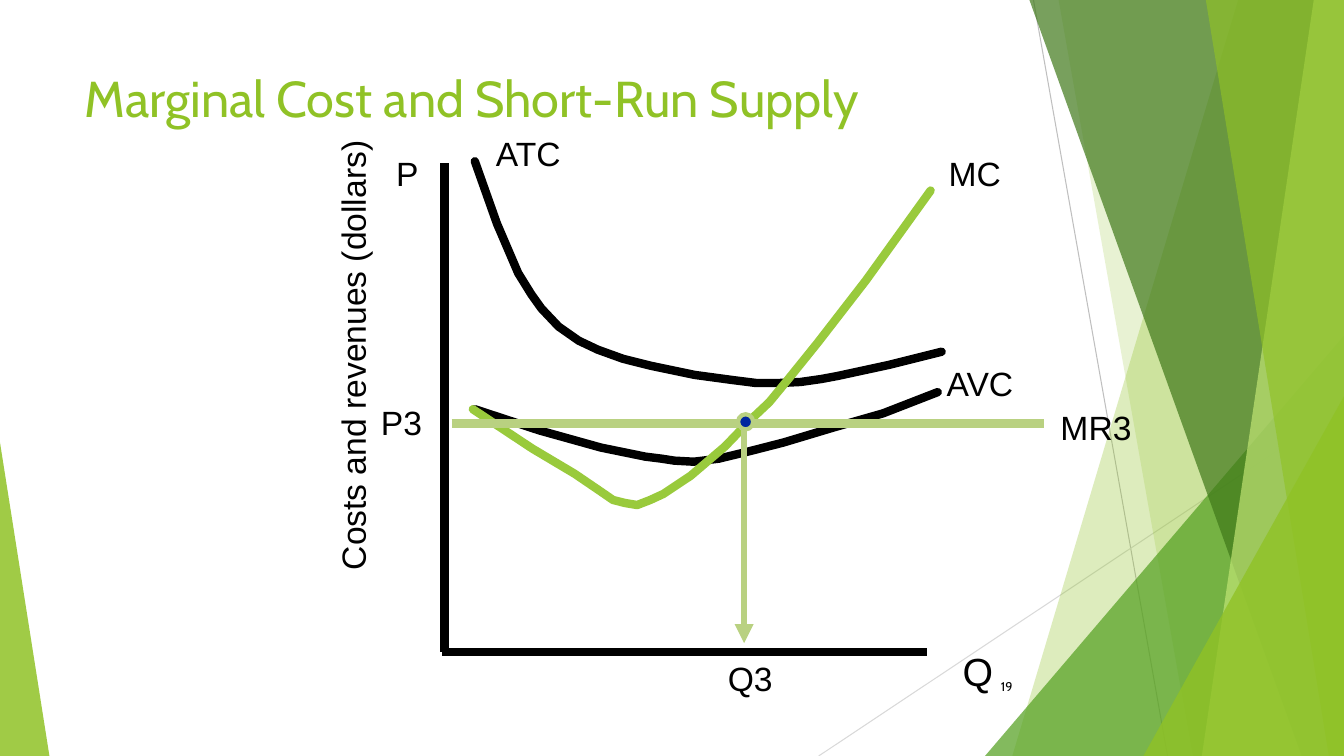
from lxml import etree
from pptx import Presentation
from pptx import util as u
from pptx.dml.color import RGBColor
from pptx.enum import shapes, text
from pptx.oxml.ns import qn

LIME, PALE, BLACK = "90C226", "B9D181", "000000"
WIDE, HIGH = 13.33, 7.5

PANES = [
    ([(12.28, 0), (WIDE, 0), (WIDE, HIGH), (10.04, HIGH)], LIME, 30),
    ([(10.5, 0), (WIDE, 0), (WIDE, HIGH), (11.83, HIGH)], LIME, 20),
    ((9.77, 3.33, 3.56, 4.17, 1), "54A021", 72),
    ([(10.21, 0), (WIDE, 0), (WIDE, HIGH), (12.91, HIGH)], "3F7819", 70),
    ([(13.03, 0), (WIDE, 0), (WIDE, HIGH), (11.92, HIGH)], "C0E474", 70),
    ([(11.96, 0), (WIDE, 0), (WIDE, HIGH), (13.18, HIGH)], LIME, 65),
    ((11.34, 3.93, 1.99, 3.57, 1), LIME, 80),
    ((0, 4.39, 0.49, 3.11, 0), LIME, 85),
]
AVC = [(4.71, 4.06), (5.35, 4.27), (5.96, 4.44), (6.4, 4.53), (6.56, 4.55),
       (6.69, 4.57), (6.88, 4.58), (6.97, 4.57), (7.13, 4.55), (7.42, 4.48),
       (7.77, 4.39), (8.27, 4.24), (8.76, 4.1), (9.3, 3.89)]
ATC = [(4.71, 1.6), (4.93, 2.22), (5.14, 2.71), (5.27, 2.92), (5.37, 3.06),
       (5.54, 3.24), (5.74, 3.38), (5.93, 3.47), (6.18, 3.56), (6.46, 3.63),
       (6.89, 3.72), (7.26, 3.77), (7.5, 3.8), (7.73, 3.8), (7.94, 3.79),
       (8.15, 3.76), (8.31, 3.73), (8.82, 3.62), (9.34, 3.49)]
MC = [(4.69, 4.06), (5.28, 4.45), (5.7, 4.7), (5.95, 4.87), (6.08, 4.96),
      (6.2, 4.99), (6.32, 5.01), (6.45, 4.96), (6.58, 4.9), (6.85, 4.72),
      (7.19, 4.43), (7.45, 4.16), (7.63, 3.99), (7.82, 3.76), (8.11, 3.4),
      (8.59, 2.78), (9.23, 1.89)]


def cm(inch):
    """Turn inches into a length in centimetres."""
    return u.Cm(inch * 2.54)


def rgb(code):
    """Read a hex colour."""
    return RGBColor.from_string(code)


def paint(shape, color, alpha=100):
    """Fill a shape without a shadow, partly clear if asked."""
    shape.shadow.inherit = False
    shape.fill.solid()
    shape.fill.fore_color.rgb = rgb(color)
    if alpha < 100:
        tone = shape._element.spPr.find(".//" + qn("a:srgbClr"))
        etree.SubElement(tone, qn("a:alpha"), val=str(alpha * 1000))


def stroke(shape, color, width):
    """Set the colour and width of a line."""
    shape.line.color.rgb = rgb(color)
    shape.line.width = u.Pt(width)


def trace(slide, points, close):
    """Build a freeform through the points."""
    spots = [(cm(x), cm(y)) for x, y in points]
    pen = slide.shapes.build_freeform(*spots[0])
    pen.add_line_segments(spots[1:], close=close)
    return pen.convert_to_shape()


def pane(slide, form, color, alpha):
    """Draw one clear pane: a point list or a triangle."""
    if isinstance(form, list):
        shape = trace(slide, form, True)
    else:
        *box, tip = form
        shape = slide.shapes.add_shape(
            shapes.MSO_SHAPE.ISOSCELES_TRIANGLE, *map(cm, box))
        shape.adjustments[0] = tip
    paint(shape, color, alpha)
    shape.line.fill.background()


def curve(slide, points, color):
    """Draw an open curve with round ends."""
    shape = trace(slide, points, False)
    shape.shadow.inherit = False
    shape.fill.background()
    stroke(shape, color, 6)
    edge = shape._element.spPr.find(qn("a:ln"))
    edge.set("cap", "rnd")
    etree.SubElement(edge, qn("a:round"))


def line(slide, ends, color, width, arrow=False):
    """Draw a straight line, with an arrowhead if asked."""
    rule = slide.shapes.add_connector(
        shapes.MSO_CONNECTOR.STRAIGHT, *map(cm, ends))
    stroke(rule, color, width)
    props = rule._element.spPr
    if arrow:
        etree.SubElement(props.find(qn("a:ln")), qn("a:tailEnd"), type="triangle")
    etree.SubElement(props, qn("a:effectLst"))


def label(slide, words, box, size=24, color=BLACK, font="Arial", wrap=True,
          mid=False, right=False, turn=0):
    """Add a text box with one run."""
    note = slide.shapes.add_textbox(*map(cm, box))
    note.rotation = turn
    frame = note.text_frame
    frame.word_wrap = wrap
    if mid:
        frame.vertical_anchor = text.MSO_ANCHOR.MIDDLE
    para = frame.paragraphs[0]
    para.alignment = text.PP_ALIGN.RIGHT if right else text.PP_ALIGN.LEFT
    run = para.add_run()
    run.text = words
    run.font.size = u.Pt(size)
    run.font.name = font
    run.font.color.rgb = rgb(color)


def dot(slide, box):
    """Mark the point where the lines meet."""
    shape = slide.shapes.add_shape(shapes.MSO_SHAPE.OVAL, *map(cm, box))
    paint(shape, "00279F")
    stroke(shape, PALE, 3)


def main():
    """Build the slide and save it."""
    deck = Presentation()
    deck.slide_width, deck.slide_height = cm(WIDE), cm(HIGH)
    slide = deck.slides.add_slide(deck.slide_layouts[6])

    line(slide, (10.25, 0, 11.58, HIGH), "BFBFBF", 0.75)
    line(slide, (WIDE, 4.03, 8.12, HIGH), "D9D9D9", 0.75)
    for form, color, alpha in PANES:
        pane(slide, form, color, alpha)

    label(slide, "19", (9.39, 6.61, 0.75, 0.4), 9, font="Cabin",
          mid=True, right=True)
    label(slide, "P", (3.83, 1.47, 0.46, 0.5))
    label(slide, "Q", (9.45, 6.37, 0.5, 0.57), 28, wrap=False)
    label(slide, "MC", (9.31, 1.47, 0.97, 0.5))
    label(slide, "ATC", (4.82, 1.27, 1.48, 0.5))
    for points, color in ((AVC, BLACK), (ATC, BLACK), (MC, "99CA3C")):
        curve(slide, points, color)
    label(slide, "Costs and revenues (dollars)", (1.24, 3.25, 4.51, 0.5),
          turn=270)

    line(slide, (4.41, 1.62, 4.41, 6.47), BLACK, 6)
    line(slide, (4.38, 6.47, 9.19, 6.47), BLACK, 6)
    line(slide, (7.38, 4.21, 7.38, 6.38), PALE, 4.5, arrow=True)
    label(slide, "P3", (3.68, 3.94, 0.61, 0.5), wrap=False)
    line(slide, (4.48, 4.2, 10.35, 4.2), PALE, 6)
    label(slide, "MR3", (10.42, 3.99, 0.97, 0.5))
    label(slide, "Q3", (7.12, 6.48, 0.65, 0.5), wrap=False)
    dot(slide, (7.32, 4.11, 0.15, 0.15))
    label(slide, "AVC", (9.29, 3.55, 1.48, 0.5))
    label(slide, "Marginal Cost and Short-Run Supply", (0.74, 0.5, 9.61, 0.94),
          36, LIME, "Cabin", mid=True)
    deck.save("out.pptx")


if __name__ == "__main__":
    main()
